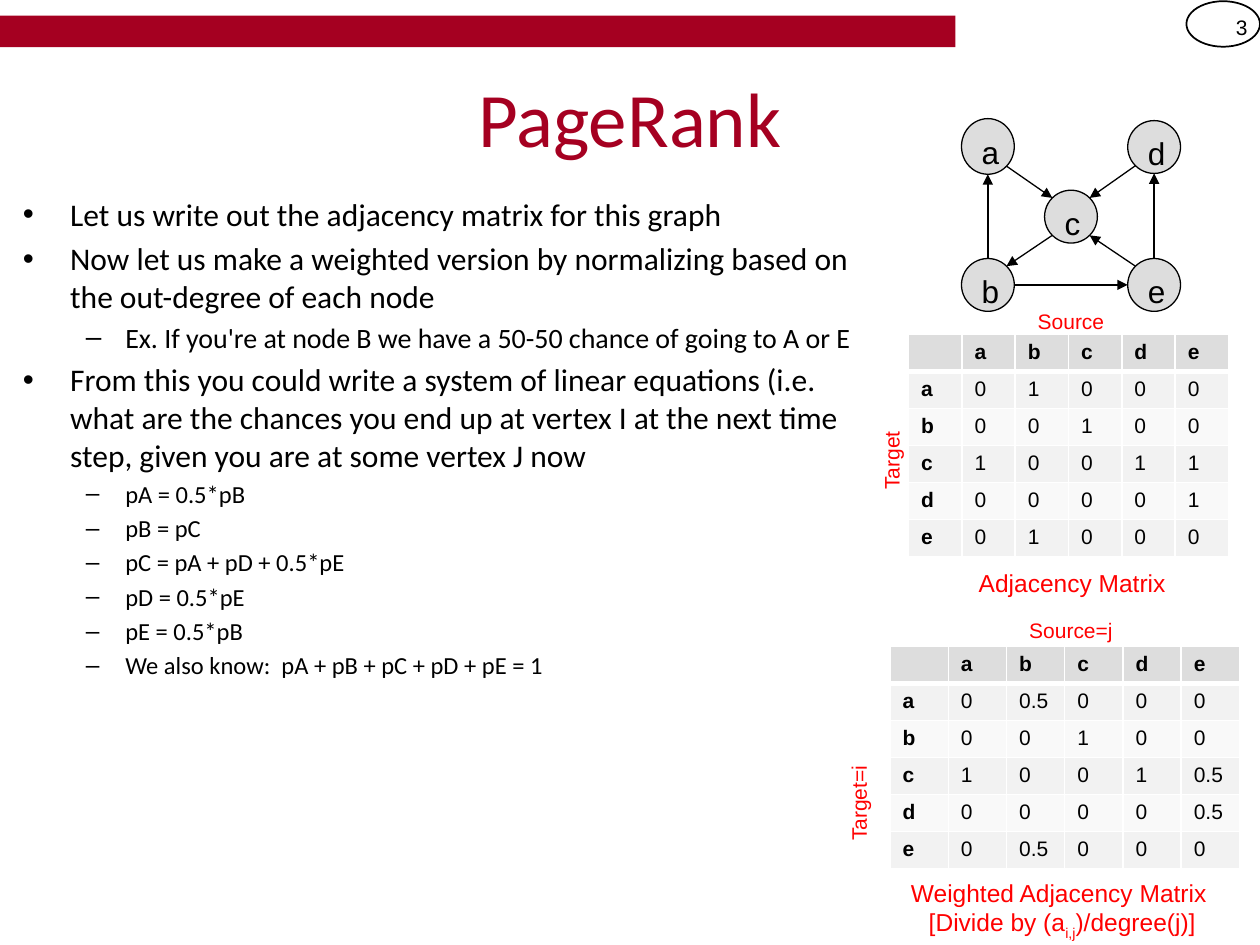
from dataclasses import dataclass
from math import sqrt

from lxml import etree
from pptx import Presentation
from pptx.dml.color import RGBColor
from pptx.enum.shapes import MSO_CONNECTOR, MSO_SHAPE
from pptx.enum.text import MSO_ANCHOR, PP_ALIGN
from pptx.oxml.ns import qn
from pptx.util import Pt

LEFT, CENTER, RIGHT = PP_ALIGN.LEFT, PP_ALIGN.CENTER, PP_ALIGN.RIGHT
TOP, MIDDLE = MSO_ANCHOR.TOP, MSO_ANCHOR.MIDDLE
RECTANGLE, OVAL = MSO_SHAPE.RECTANGLE, MSO_SHAPE.OVAL
STRAIGHT = MSO_CONNECTOR.STRAIGHT


@dataclass(frozen=True)
class Theme:
    crimson: str = "A50021"
    red: str = "FF0000"
    black: str = "000000"
    white: str = "FFFFFF"
    gray: str = "DDDDDD"
    bands: tuple = ("F2F2F2", "F9F9F9")
    heading_font: str = "Calibri"
    label_font: str = "Arial"
    title: int = 44
    body: int = 18
    sub: int = 16
    equation: int = 14
    caption: int = 14
    small: int = 12


theme = Theme()


def style_paragraph(paragraph, font, size, color, align=LEFT, bold=False):
    paragraph.alignment = align
    for run in paragraph.runs:
        run.font.name = font
        run.font.size = Pt(size)
        run.font.bold = bold
        run.font.color.rgb = RGBColor.from_string(color)


def add_label(text, box, size, color=theme.red, align=CENTER, rotation=0):
    shape = slide.shapes.add_textbox(*map(Pt, box))
    shape.rotation = rotation
    shape.text_frame.word_wrap = True
    paragraph = shape.text_frame.paragraphs[0]
    paragraph.text = text
    style_paragraph(paragraph, theme.label_font, size, color, align)
    return shape


presentation = Presentation()
presentation.slide_width, presentation.slide_height = Pt(720), Pt(540)
slide = presentation.slides.add_slide(presentation.slide_layouts[5])

# Header bar and slide number
bar = slide.shapes.add_shape(RECTANGLE, Pt(0), Pt(8.9), Pt(546), Pt(18))
bar.shadow.inherit = False
bar.fill.solid()
bar.fill.fore_color.rgb = RGBColor.from_string(theme.crimson)
bar.line.fill.background()

badge = slide.shapes.add_shape(OVAL, Pt(678), Pt(0.7), Pt(42), Pt(26))
badge.shadow.inherit = False
badge.fill.background()
badge.line.color.rgb = RGBColor.from_string(theme.black)
badge.line.width = Pt(1)
number = add_label("3", (678, 0.7, 42, 29), theme.small, theme.black, RIGHT)
number.text_frame.vertical_anchor = MIDDLE

# Title
title = slide.shapes.title
title.left, title.top, title.width, title.height = Pt(36), Pt(21.6), Pt(648), Pt(90)
title.text_frame.text = "PageRank"
title.text_frame.vertical_anchor = MIDDLE
style_paragraph(title.text_frame.paragraphs[0], theme.heading_font, theme.title,
                theme.crimson, CENTER)

# Bulleted text: level, size, wording
bullets = [
    (0, theme.body, "Let us write out the adjacency matrix for this graph"),
    (0, theme.body, "Now let us make a weighted version by normalizing based on "
                    "the out-degree of each node"),
    (1, theme.sub, "Ex. If you're at node B we have a 50-50 chance of going to A or E"),
    (0, theme.body, "From this you could write a system of linear equations (i.e. "
                    "what are the chances you end up at vertex I at the next time "
                    "step, given you are at some vertex J now"),
    (1, theme.equation, "pA = 0.5*pB"),
    (1, theme.equation, "pB = pC"),
    (1, theme.equation, "pC = pA + pD + 0.5*pE"),
    (1, theme.equation, "pD = 0.5*pE"),
    (1, theme.equation, "pE = 0.5*pB"),
    (1, theme.equation, "We also know:  pA + pB + pC + pD + pE = 1"),
]
bullet_styles = [("•", 27, -27), ("–", 58.5, -22.5)]  # character, margin, indent
body = slide.shapes.add_textbox(Pt(6), Pt(108), Pt(492), Pt(186)).text_frame
body.word_wrap = True
for index, (level, size, text) in enumerate(bullets):
    paragraph = body.add_paragraph() if index else body.paragraphs[0]
    paragraph.text = text
    paragraph.level = level
    paragraph.space_before = Pt(0.2 * size)
    style_paragraph(paragraph, theme.heading_font, size, theme.black)
    character, margin, indent = bullet_styles[level]
    properties = paragraph._p.get_or_add_pPr()
    properties.set("marL", str(Pt(margin)))
    properties.set("indent", str(Pt(indent)))
    etree.SubElement(properties, qn("a:buFont"), typeface=theme.label_font)
    etree.SubElement(properties, qn("a:buChar"), char=character)

# Graph nodes: grid column, grid row, top, height
node_left, node_pitch, node_width = 549.4, 47.5, 30.2
nodes = {
    "a": (0, 0, 67.8, 31.8),
    "b": (0, 2, 147.7, 30.2),
    "d": (2, 0, 68.9, 30.2),
    "c": (1, 1, 108.7, 30.2),
    "e": (2, 2, 147.7, 30.2),
}
for name, (column, row, top, height) in nodes.items():
    node = slide.shapes.add_shape(OVAL, Pt(node_left + column * node_pitch), Pt(top),
                                  Pt(node_width), Pt(height))
    node.shadow.inherit = False
    node.fill.solid()
    node.fill.fore_color.rgb = RGBColor.from_string(theme.gray)
    node.line.color.rgb = RGBColor.from_string(theme.black)
    node.line.width = Pt(0.75)
    node.text_frame.text = name
    node.text_frame.word_wrap = False
    node.text_frame.vertical_anchor = TOP
    style_paragraph(node.text_frame.paragraphs[0], theme.label_font, theme.body, theme.black)

# Each arrow runs between the rims of its two nodes
for source, target in ("ac", "ba", "ed", "ec", "dc", "be", "cb"):
    steps = [nodes[target][axis] - nodes[source][axis] for axis in (0, 1)]
    signs = [(step > 0) - (step < 0) for step in steps]
    reach = 1 / sqrt(sum(map(abs, signs))) / 2
    ends = []
    for name, way in ((source, 1), (target, -1)):
        column, row, top, height = nodes[name]
        ends.append(node_left + column * node_pitch
                    + node_width * (0.5 + way * signs[0] * reach))
        ends.append(top + height * (0.5 + way * signs[1] * reach))
    arrow = slide.shapes.add_connector(STRAIGHT, *map(Pt, ends))
    arrow.line.color.rgb = RGBColor.from_string(theme.black)
    arrow.line.width = Pt(0.75)
    etree.SubElement(arrow.line._get_or_add_ln(), qn("a:tailEnd"), type="triangle")
    etree.SubElement(arrow._element.spPr, qn("a:effectLst"))

# Matrices: left, top, column width, values by row
names = "abcde"
row_height = 20.6
matrices = [
    (519.2, 191, 30.5, ["0 1 0 0 0", "0 0 1 0 0", "1 0 0 1 1", "0 0 0 0 1", "0 1 0 0 0"]),
    (508.6, 369.4, 33.3, ["0 0.5 0 0 0", "0 0 1 0 0", "1 0 0 1 0.5", "0 0 0 0 0.5",
                          "0 0.5 0 0 0"]),
]
for left, top, column_width, values in matrices:
    rows = [["", *names]] + [[name, *line.split()] for name, line in zip(names, values)]
    count = len(rows)
    table = slide.shapes.add_table(count, count, Pt(left), Pt(top), Pt(count * column_width),
                                   Pt(count * row_height)).table
    for index in range(count):
        table.columns[index].width = Pt(column_width)
        table.rows[index].height = Pt(row_height)
    for row, texts in enumerate(rows):
        for column, text in enumerate(texts):
            cell = table.cell(row, column)
            cell.margin_top = cell.margin_bottom = Pt(3.4)
            cell.fill.solid()
            cell.fill.fore_color.rgb = RGBColor.from_string(
                theme.bands[(row - 1) % 2] if row else theme.gray)
            paragraph = cell.text_frame.paragraphs[0]
            paragraph.text = text
            style_paragraph(paragraph, theme.label_font, theme.small, theme.black,
                            bold=row == 0 or column == 0)
            if not text:
                etree.SubElement(paragraph._p, qn("a:endParaRPr"), sz=str(theme.small * 100))
            properties = cell._tc.get_or_add_tcPr()
            for position, side in enumerate(("lnL", "lnR", "lnT", "lnB")):
                header_rule = (row, side) in ((0, "lnB"), (1, "lnT"))
                border = etree.Element(qn(f"a:{side}"), w=str(Pt(3 if header_rule else 1)))
                fill = etree.SubElement(border, qn("a:solidFill"))
                etree.SubElement(fill, qn("a:srgbClr"), val=theme.white)
                properties.insert(position, border)

# Matrix labels
add_label("Source", (522, 172.8, 180, 18), theme.small)
add_label("Target", (456.5, 251.3, 108, 23.8), theme.small, rotation=270)
add_label("Adjacency Matrix", (536.4, 321.1, 152.6, 30.2), theme.caption)
add_label("Source=j", (522, 349.2, 180, 18), theme.small)
add_label("Target=i", (437.8, 447.1, 108, 23.8), theme.small, rotation=270)
caption = add_label("Weighted Adjacency Matrix \v[Divide by (a", (506.2, 498.2, 201.6, 30.2),
                    theme.caption).text_frame.paragraphs[0]
subscript = caption.add_run()
subscript.text = "i,j"
caption.add_run().text = ")/degree(j)]"
style_paragraph(caption, theme.label_font, theme.caption, theme.red, CENTER)
subscript.font._element.set("baseline", "-25000")

presentation.save("out.pptx")
